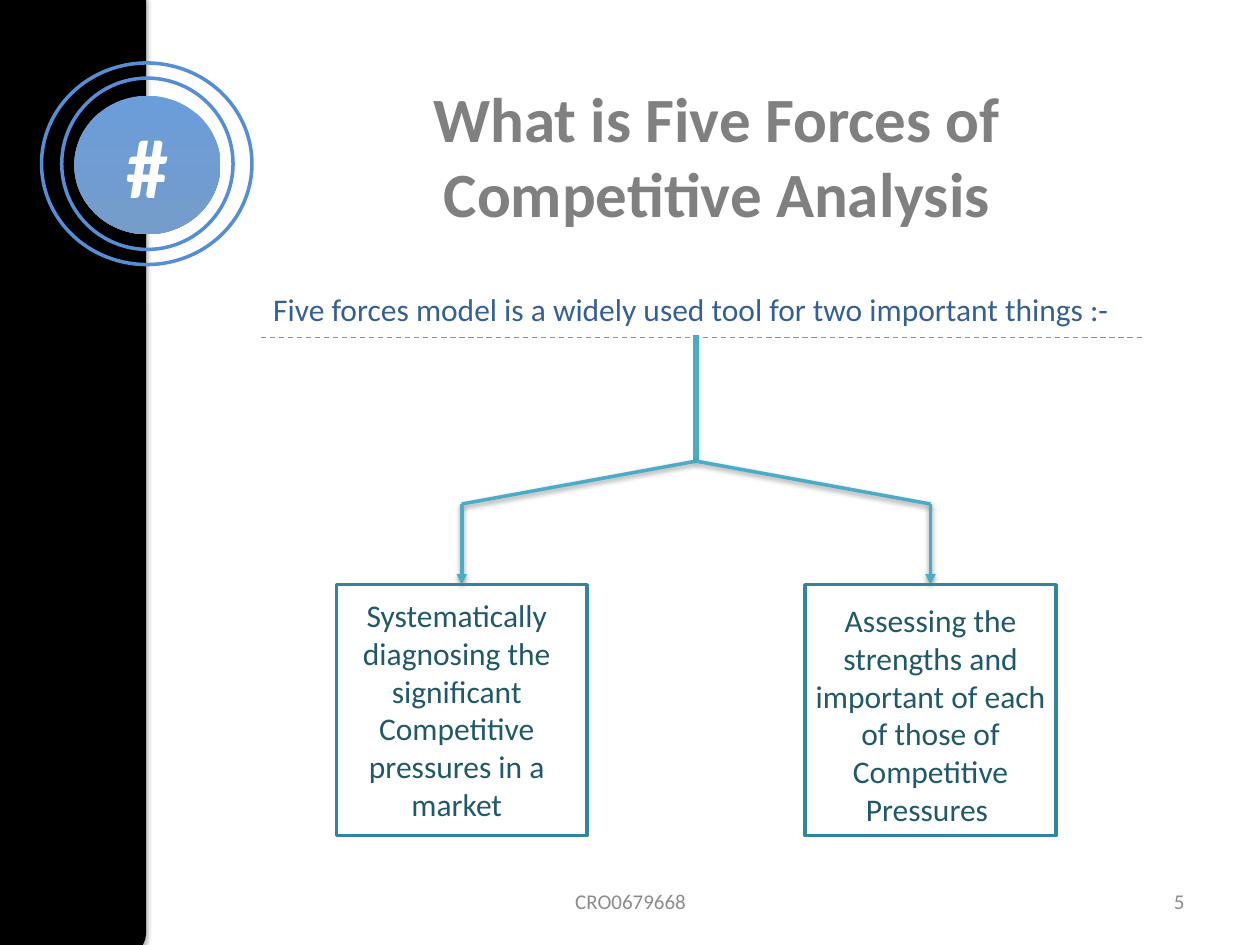
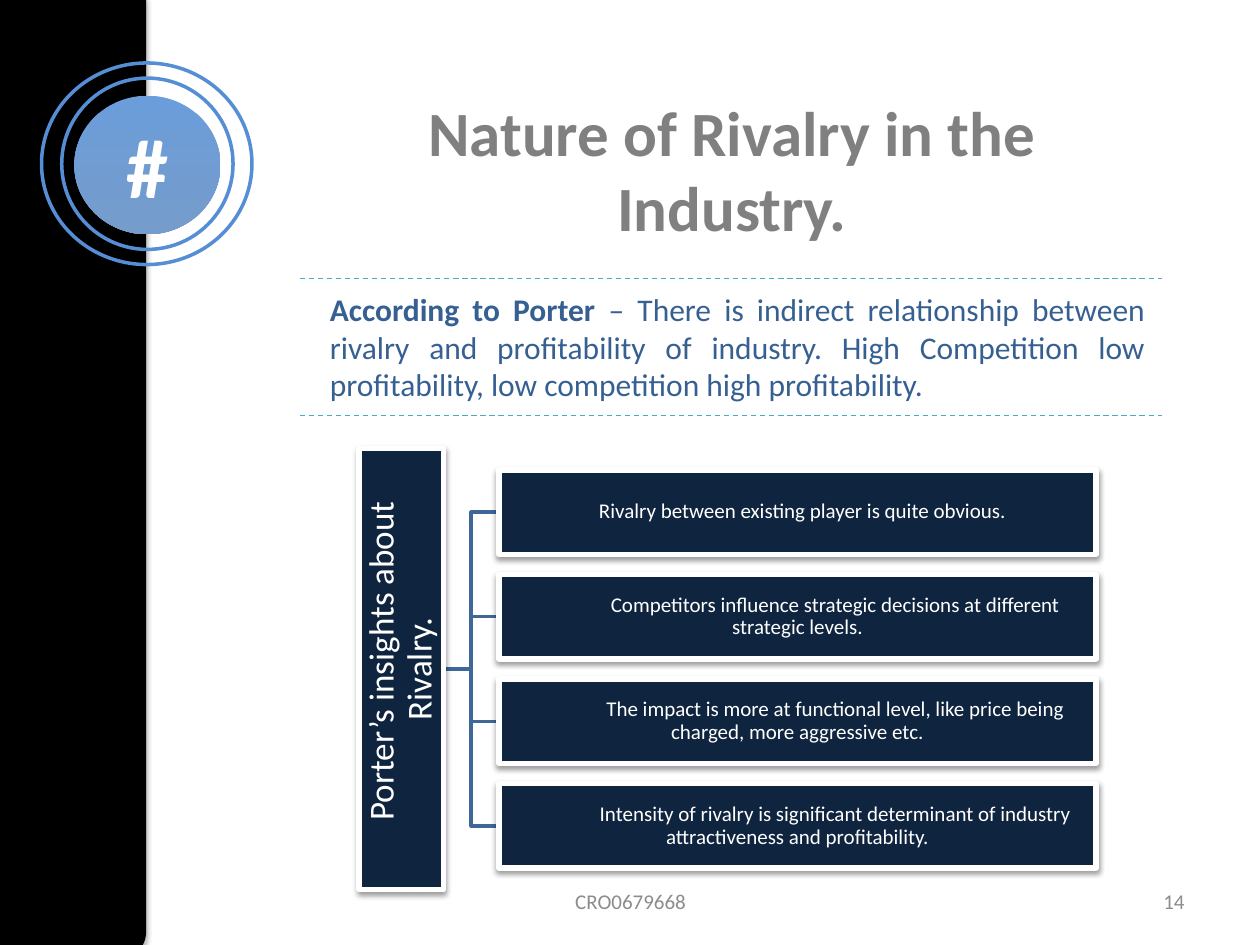
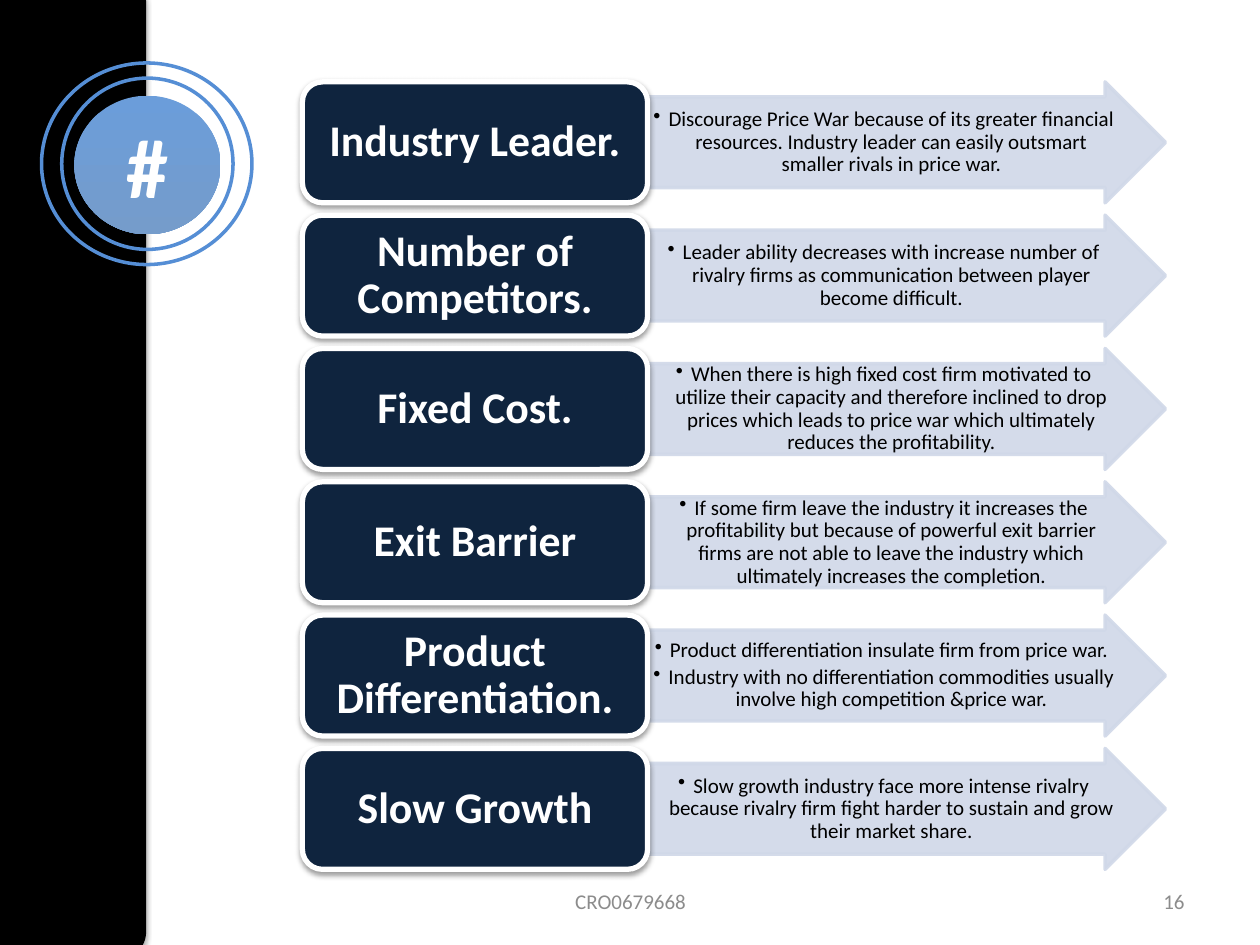
from dataclasses import dataclass

from lxml.etree import SubElement
from pptx import Presentation
from pptx.dml.color import RGBColor
from pptx.enum.dml import MSO_LINE
from pptx.enum.shapes import MSO_CONNECTOR, MSO_SHAPE
from pptx.enum.text import MSO_ANCHOR, MSO_AUTO_SIZE, PP_ALIGN
from pptx.oxml.ns import qn
from pptx.util import Inches, Pt


@dataclass(frozen=True)
class Theme:
    font: str = "Calibri"
    black: str = "000000"
    white: str = "FFFFFF"
    title: str = "808080"
    body: str = "376092"
    footer: str = "8C8C8C"
    ring: str = "558ED5"
    badge_top: str = "6B9DDA"
    badge_bottom: str = "759CCB"
    teal: str = "4BACC6"
    box_line: str = "31859C"
    box_text: str = "215968"
    navy: str = "0F243E"
    elbow: str = "3F6797"
    pale: str = "D0D8E8"
    badge_size: int = 48
    title_size: int = 36
    label_size: int = 25
    bar_size: int = 20
    body_size: int = 18
    small_size: int = 12


@dataclass(frozen=True)
class Box:
    x: float
    y: float
    w: float
    h: float

    def lengths(self):
        return [Inches(v) for v in (self.x, self.y, self.w, self.h)]


T = Theme()
FOOTER = "CRO0679668"


def rgb(color):
    return RGBColor.from_string(color)


def add_shadow(effects, alpha=38, dist=1.6):
    shadow = SubElement(effects, qn("a:outerShdw"), blurRad=str(Pt(3.1)),
                        dist=str(Pt(dist)), dir="5400000", rotWithShape="0")
    color = SubElement(shadow, qn("a:srgbClr"), val=T.black)
    SubElement(color, qn("a:alpha"), val=str(alpha * 1000))


def add_shape(s, kind, box, fill=None, line=None, width=2):
    shape = s.shapes.add_shape(kind, *box.lengths())
    shape.shadow.inherit = False
    if fill:
        shape.fill.solid()
        shape.fill.fore_color.rgb = rgb(fill)
    else:
        shape.fill.background()
    if line:
        shape.line.color.rgb = rgb(line)
        shape.line.width = Pt(width)
    else:
        shape.line.fill.background()
    return shape


def shade(shape, **options):
    add_shadow(shape.element.spPr.find(qn("a:effectLst")), **options)


def add_line(s, start, end, color, width, kind=MSO_CONNECTOR.STRAIGHT,
             dashed=False, arrow=False, shadow=False):
    line = s.shapes.add_connector(kind, *[Inches(v) for v in (*start, *end)])
    line.line.color.rgb = rgb(color)
    line.line.width = Pt(width)
    if dashed:
        line.line.dash_style = MSO_LINE.DASH
    if arrow:
        SubElement(line.line._get_or_add_ln(), qn("a:tailEnd"), type="triangle")
    effects = SubElement(line.element.spPr, qn("a:effectLst"))
    if shadow:
        add_shadow(effects)


def set_frame(tf, anchor=MSO_ANCHOR.TOP, margins=(0.1, 0.05, 0.1, 0.05)):
    tf.word_wrap = True
    tf.auto_size = MSO_AUTO_SIZE.NONE
    tf.vertical_anchor = anchor
    (tf.margin_left, tf.margin_top,
     tf.margin_right, tf.margin_bottom) = [Inches(m) for m in margins]


def add_run(p, text, size, color, bold=False):
    r = p.add_run()
    r.text = text
    r.font.name = T.font
    r.font.size = Pt(size)
    r.font.bold = bold
    r.font.color.rgb = rgb(color)


def write(tf, text, size, color, bold=False, align=PP_ALIGN.CENTER):
    p = tf.paragraphs[0]
    p.alignment = align
    add_run(p, text, size, color, bold)
    return p


def add_text(s, box, text, size, color, align, anchor=MSO_ANCHOR.TOP):
    tf = s.shapes.add_textbox(*box.lengths()).text_frame
    set_frame(tf, anchor)
    write(tf, text, size, color, align=align)


def add_title(s, box, text):
    title = s.shapes.title
    title.left, title.top, title.width, title.height = box.lengths()
    set_frame(title.text_frame)
    write(title.text_frame, text, T.title_size, T.title, bold=True)


def side_band(s):
    band = add_shape(s, MSO_SHAPE.ROUNDED_RECTANGLE,
                     Box(-0.12, -0.19, 1.28, 7.8), T.black)
    shade(band, alpha=35, dist=1.8)

    badge = add_shape(s, MSO_SHAPE.OVAL, Box(0.59, 0.76, 1.16, 1.1))
    badge.fill.gradient()
    badge.fill.gradient_angle = 270
    for stop, color in zip(badge.fill.gradient_stops,
                           (T.badge_top, T.badge_bottom)):
        stop.color.rgb = rgb(color)
    set_frame(badge.text_frame, MSO_ANCHOR.MIDDLE)
    write(badge.text_frame, "#", T.badge_size, T.white, bold=True)

    for ring in (Box(0.49, 0.62, 1.36, 1.36), Box(0.33, 0.5, 1.67, 1.6)):
        add_shape(s, MSO_SHAPE.OVAL, ring, line=T.ring)


def footer(s, number):
    for box, text, align in (
            (Box(7.17, 6.95, 2.33, 0.4), number, PP_ALIGN.RIGHT),
            (Box(3.42, 6.95, 3.17, 0.4), FOOTER, PP_ALIGN.CENTER)):
        add_text(s, box, text, T.small_size, T.footer, align, MSO_ANCHOR.MIDDLE)


def new_slide(prs, layout, number):
    s = prs.slides.add_slide(prs.slide_layouts.get_by_name(layout))
    side_band(s)
    footer(s, number)
    return s


def purpose_tree(s, box, purposes):
    """Draw a trunk that forks to one framed text at each side of the box."""
    side = 1.99
    center = box.x + box.w / 2
    fork, bend, top = box.y + 1, box.y + 1.34, box.y + box.h - side
    add_line(s, (center, box.y), (center, fork), T.teal, 3)
    for x, (text, margins) in zip((box.x, box.x + box.w - side), purposes):
        middle = x + side / 2
        add_line(s, (center, fork), (middle, bend), T.teal, 2, shadow=True)
        add_line(s, (middle, bend), (middle, top), T.teal, 2,
                 arrow=True, shadow=True)
        frame = add_shape(s, MSO_SHAPE.RECTANGLE, Box(x, top, side, side),
                          line=T.box_line)
        set_frame(frame.text_frame, margins=margins)
        write(frame.text_frame, text, T.body_size, T.box_text)


def navy_bar(s, box, text, size, indent, rotation=0):
    bar = add_shape(s, MSO_SHAPE.RECTANGLE, box, T.navy, T.white, 3)
    shade(bar)
    bar.rotation = rotation
    set_frame(bar.text_frame, MSO_ANCHOR.MIDDLE, (0.01,) * 4)
    p = write(bar.text_frame, text, size, T.white)
    p.line_spacing = 0.9
    p._p.get_or_add_pPr().set("indent", str(Inches(indent)))


def insight_tree(s, box, heading, insights):
    """Draw an upright heading bar joined by elbows to a column of bars."""
    thick, row_w = 0.67, 4.74
    middle = box.y + box.h / 2
    row_x = box.x + box.w - row_w
    pitch = 0.83
    first = middle - (len(insights) - 1) * pitch / 2
    centers = [first + i * pitch for i in range(len(insights))]
    for y in centers:
        add_line(s, (box.x + thick, middle), (row_x, y), T.elbow, 2,
                 kind=MSO_CONNECTOR.ELBOW)
    navy_bar(s, Box(box.x + (thick - box.h) / 2, middle - thick / 2,
                    box.h, thick), heading, T.bar_size, 0.13, rotation=270)
    for y, (text, indent) in zip(centers, insights):
        navy_bar(s, Box(row_x, y - thick / 2, row_w, thick),
                 text, T.small_size, indent)


def bullet_arrow(s, box, bullets):
    arrow = add_shape(s, MSO_SHAPE.RIGHT_ARROW, box, T.pale, T.pale)
    arrow.adjustments[0] = 0.75
    arrow.adjustments[1] = 0.5
    for color in arrow.element.spPr.iter(qn("a:srgbClr")):
        SubElement(color, qn("a:alpha"), val="90000")
    tf = arrow.text_frame
    set_frame(tf, MSO_ANCHOR.MIDDLE, (0.01,) * 4)
    for i, text in enumerate(bullets):
        p = tf.add_paragraph() if i else tf.paragraphs[0]
        p.alignment = PP_ALIGN.CENTER
        p.level = 1
        p.line_spacing = 0.9
        p.space_after = Pt(2)
        pPr = p._p.get_or_add_pPr()
        pPr.set("marL", str(Inches(0.12)))
        pPr.set("indent", str(Inches(-0.12)))
        SubElement(pPr, qn("a:buChar"), char="•")
        add_run(p, text, T.small_size, T.black)


def factor_rows(s, box, factors):
    """Fill the box with equal rows, each a label and an arrow of bullets."""
    row_h, label_w = 0.96, 2.74
    pitch = (box.h - row_h) / (len(factors) - 1)
    for i, (name, bullets) in enumerate(factors):
        y = box.y + i * pitch
        bullet_arrow(s, Box(box.x + label_w, y, box.w - label_w, row_h), bullets)
        label = add_shape(s, MSO_SHAPE.ROUNDED_RECTANGLE,
                          Box(box.x, y, label_w, row_h), T.navy, T.white, 3)
        shade(label)
        set_frame(label.text_frame, MSO_ANCHOR.MIDDLE)
        p = write(label.text_frame, name, T.label_size, T.white, bold=True)
        p.line_spacing = 0.9


def five_forces_slide(prs):
    s = new_slide(prs, "Title Only", "5")
    add_title(s, Box(2.46, 0.58, 6.46, 1.31),
              "What is Five Forces of Competitive Analysis")
    add_text(s, Box(2.07, 2.25, 6.9, 0.4),
             "Five forces model is a widely used tool for two important things :-",
             T.body_size, T.body, PP_ALIGN.LEFT)
    purpose_tree(s, Box(2.67, 2.66, 5.71, 3.97), [
        ("Systematically diagnosing the significant Competitive pressures "
         "in a market", (0.03, 0.09, 0.11, 0.05)),
        ("Assessing the strengths and important of each of those of "
         "Competitive Pressures ", (0.07, 0.13, 0.07, 0.05)),
    ])
    add_line(s, (2.07, 2.68), (9.08, 2.68), T.teal, 0.75, dashed=True)


def rivalry_slide(prs):
    s = new_slide(prs, "Title Only", "14")
    add_title(s, Box(2.46, 0.69, 6.7, 1.31), "Nature of Rivalry in the Industry.")
    tf = s.shapes.add_textbox(*Box(2.52, 2.25, 6.67, 1.01).lengths()).text_frame
    set_frame(tf)
    p = write(tf, "According to Porter ", T.body_size, T.body, bold=True,
              align=PP_ALIGN.JUSTIFY)
    add_run(p, "– There is indirect relationship between rivalry and "
            "profitability of industry. High Competition low profitability, "
            "low competition high profitability.", T.body_size, T.body)
    for y in (2.21, 3.3):
        add_line(s, (2.38, y), (9.22, y), T.teal, 0.75, dashed=True)
    insight_tree(s, Box(2.85, 3.56, 5.85, 3.5),
                 "Porter’s insights about Rivalry.", [
        ("Rivalry between existing player is quite obvious.", 0.08),
        ("Competitors influence strategic decisions at different strategic "
         "levels.", 0.6),
        ("The impact is more at functional level, like price being charged, "
         "more aggressive etc.", 0.6),
        ("Intensity of rivalry is significant determinant of industry "
         "attractiveness and profitability.", 0.6),
    ])


def factors_slide(prs):
    s = new_slide(prs, "Blank", "16")
    factor_rows(s, Box(2.4, 0.65, 6.85, 6.25), [
        ("Industry Leader.", [
            "Discourage Price War because of its greater financial resources. "
            "Industry leader can easily outsmart smaller rivals in price war."]),
        ("Number of Competitors.", [
            "Leader ability decreases with increase number of rivalry firms as "
            "communication between player become difficult."]),
        ("Fixed Cost.", [
            "When there is high fixed cost firm motivated to utilize their "
            "capacity and therefore inclined to drop prices which leads to "
            "price war which ultimately reduces the profitability."]),
        ("Exit Barrier", [
            "If some firm leave the industry it increases the profitability but "
            "because of powerful exit barrier firms are not able to leave the "
            "industry which ultimately increases the completion."]),
        ("Product Differentiation.", [
            "Product differentiation insulate firm from price war. ",
            "Industry with no differentiation commodities usually involve high "
            "competition &price war."]),
        ("Slow Growth", [
            "Slow growth industry face more intense rivalry because rivalry "
            "firm fight harder to sustain and grow their market share."]),
    ])


def main():
    prs = Presentation()
    prs.slide_width, prs.slide_height = Inches(10), Inches(7.5)
    five_forces_slide(prs)
    rivalry_slide(prs)
    factors_slide(prs)
    prs.save("out.pptx")


if __name__ == "__main__":
    main()
